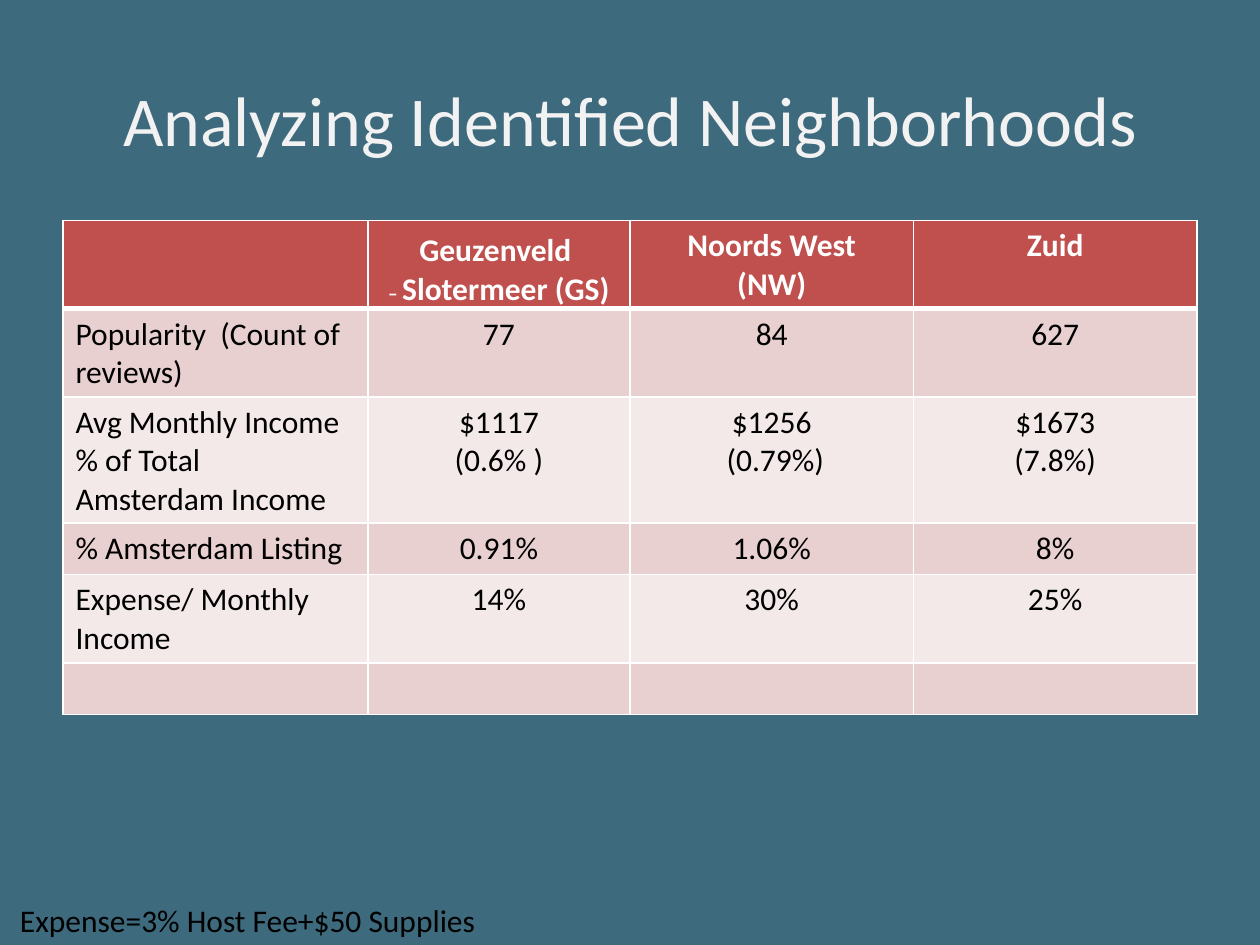
import pptx
import pptx.util
import pptx.dml.color
import pptx.enum.text
import pptx.oxml.ns
from lxml import etree

COLORS = {
    "background": "3E6A7E", "title": "F2F2F2", "header": "C0504D",
    "band_dark": "E8D0D0", "band_light": "F4E9E9",
    "white": "FFFFFF", "black": "000000",
}
WIDTH, HEIGHT = pptx.util.Inches(10), pptx.util.Inches(7.5)
ALIGN = pptx.enum.text.PP_ALIGN
ANCHOR = pptx.enum.text.MSO_ANCHOR

COLUMN_WIDTHS = [2.42, 2.08, 2.25, 2.25]
ROW_HEIGHT = 0.41
# A cell is a list of paragraphs
ROWS = [
    [[], ["Geuzenveld ", "– Slotermeer (GS)"], ["Noords West", "(NW)"], ["Zuid"]],
    [["Popularity  (Count of reviews)"], ["77"], ["84"], ["627"]],
    [["Avg Monthly Income", "% of Total Amsterdam Income"],
     ["$1117", "(0.6% )"], ["$1256", " (0.79%)"], ["$1673", "(7.8%)"]],
    [["% Amsterdam Listing"], ["0.91%"], ["1.06%"], ["8%"]],
    [["Expense/ Monthly Income"], ["14%"], ["30%"], ["25%"]],
    [[], [], [], []],
]


def rgb(name):
    return pptx.dml.color.RGBColor.from_string(COLORS[name])


def share_box(left, top, width, height):
    """Turn shares of the slide into lengths."""
    return (int(left * WIDTH), int(top * HEIGHT),
            int(width * WIDTH), int(height * HEIGHT))


def add_run(p, text, color, size=18, bold=False):
    r = p.add_run()
    r.text = text
    values = {"name": "Calibri", "size": pptx.util.Pt(size), "bold": bold}
    for key, value in values.items():
        setattr(r.font, key, value)
    r.font.color.rgb = rgb(color)
    return r


def add_text(s, box, text, color, size, align, tf_format):
    tf = s.shapes.add_textbox(*box).text_frame
    for key, value in tf_format.items():
        setattr(tf, key, value)
    p = tf.paragraphs[0]
    p.alignment = align
    add_run(p, text, color, size)


def set_borders(cell, widths):
    tc_pr = cell._tc.get_or_add_tcPr()
    for side, width in widths.items():
        ln = etree.SubElement(tc_pr, pptx.oxml.ns.qn("a:ln" + side),
                              w=str(pptx.util.Pt(width)))
        fill = etree.SubElement(ln, pptx.oxml.ns.qn("a:solidFill"))
        etree.SubElement(fill, pptx.oxml.ns.qn("a:srgbClr"), val=COLORS["white"])


def fill_cell(cell, paragraphs, row, col):
    header = row == 0
    set_borders(cell, {"L": 1, "R": 1, "T": 3 if row == 1 else 1,
                       "B": 3 if header else 1})
    band = "band_dark" if row % 2 else "band_light"
    cell.fill.solid()
    cell.fill.fore_color.rgb = rgb("header" if header else band)
    tf = cell.text_frame
    for i, text in enumerate(paragraphs):
        p = tf.paragraphs[0] if i == 0 else tf.add_paragraph()
        p.alignment = ALIGN.CENTER if col else ALIGN.LEFT
        color = "white" if header else "black"
        # The leading dash is set smaller than the name
        if text.startswith("– "):
            add_run(p, "– ", color, 11, header)
            text = text[2:]
        add_run(p, text, color, bold=header)


def add_neighborhood_table(s, box):
    table = s.shapes.add_table(len(ROWS), len(COLUMN_WIDTHS), *box).table
    for column, width in zip(table.columns, COLUMN_WIDTHS):
        column.width = pptx.util.Inches(width)
    for i, row in enumerate(ROWS):
        table.rows[i].height = pptx.util.Inches(ROW_HEIGHT)
        for j, paragraphs in enumerate(row):
            fill_cell(table.cell(i, j), paragraphs, i, j)

    # The long district name sits low with tight margins
    tight = pptx.util.Inches(0.01)
    district_format = {"vertical_anchor": ANCHOR.BOTTOM, "margin_left": tight,
                       "margin_right": tight, "margin_top": tight,
                       "margin_bottom": 0}
    for key, value in district_format.items():
        setattr(table.cell(0, 1), key, value)


def main():
    prs = pptx.Presentation()
    prs.slide_width, prs.slide_height = WIDTH, HEIGHT
    s = prs.slides.add_slide(prs.slide_layouts[6])
    s.background.fill.solid()
    s.background.fill.fore_color.rgb = rgb("background")

    # Title
    add_text(s, share_box(0.05, 0.04, 0.9, 0.17),
             "Analyzing Identified Neighborhoods", "title", 40, ALIGN.CENTER,
             {"word_wrap": True, "vertical_anchor": ANCHOR.MIDDLE})
    # Comparison table
    add_neighborhood_table(s, share_box(0.05, 0.2333, 0.9, 0.328))
    # Expense note
    add_text(s, share_box(0.006, 0.9467, 0.386, 0.0533),
             "Expense=3% Host Fee+$50 Supplies", "black", 18, ALIGN.LEFT,
             {"word_wrap": False,
              "auto_size": pptx.enum.text.MSO_AUTO_SIZE.SHAPE_TO_FIT_TEXT})
    prs.save("out.pptx")


if __name__ == "__main__":
    main()
